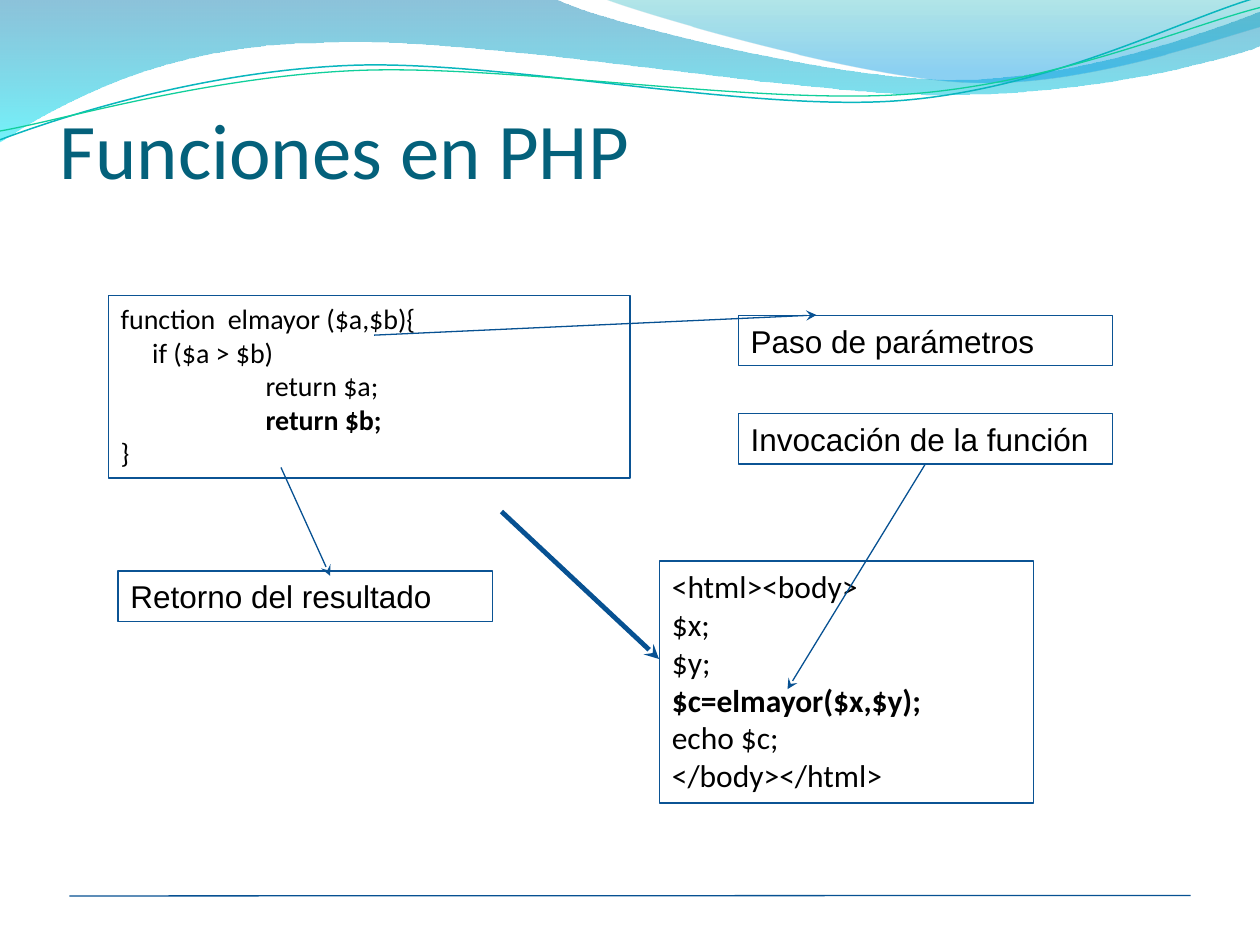
import itertools
from dataclasses import dataclass

import pptx
import pptx.dml.color
import pptx.enum.shapes
import pptx.enum.text
import pptx.oxml
import pptx.oxml.ns
import pptx.util

# The slide is a grid of 100 columns by 75 rows
COLUMNS, ROWS = 100, 75
WIDTH, HEIGHT = pptx.util.Inches(10), pptx.util.Inches(7.5)
COLORS = {
    "title": "04617B", "text": "000000", "border": "0B5394", "arrow": "075192",
    "deep": "0079AD", "cyan": "00E9F7", "teal": "00ABB4", "sky": "0099E4",
    "upper": "09B6BE", "lower": "10CF9B",
}


@dataclass
class Line:
    text: str
    indent: float = 0
    bold: bool = False


@dataclass
class Box:
    left: float
    top: float
    width: float
    height: float
    lines: list[Line]
    font: str = "Arial"
    size: float = 18


@dataclass
class Arrow:
    start: tuple[float, float]
    end: tuple[float, float]
    weight: float = 0.75
    head: bool = True


@dataclass
class Wave:
    """Starts at start; each segment has one point (line) or three (Bézier)."""
    start: tuple[float, float]
    segments: list[tuple]
    stops: tuple = ()  # (position %, colour, opacity %)
    line: str = ""
    weight: float = 0


WAVES = [
    Wave((0, -0.1), [
        ((44, -0.1),),
        ((47.6, 1.7), (66.4, 6.3), (75.8, 6.3)),
        ((85.3, 6.3), (95.8, 2.6), (100, 0.9)),
        ((100.1, 3.6),),
        ((98.3, 4.4), (87, 7.6), (74.6, 7.5)),
        ((62.2, 7.5), (38.2, 2.8), (25.7, 3.4)),
        ((12.9, 3.5), (4.6, 8.3), (-0.1, 11.3)),
    ], stops=((0, "deep", 45), (100, "cyan", 55))),
    Wave((47.9, -0.1), [
        ((50.9, 1.1), (68.2, 6.2), (76.9, 6.5)),
        ((85.6, 6.9), (96.1, 3.2), (100, 2.1)),
        ((100, 0),),
    ], stops=((0, "teal", 30), (80, "sky", 45), (100, "sky", 45))),
    Wave((0, 11.1), [
        ((4.8, 9.3), (15.8, 5.7), (27.7, 5.2)),
        ((39.5, 4.7), (59.3, 8.9), (71.3, 8)),
        ((83.3, 7.1), (93.8, 1.5), (99.8, -0.2)),
    ], line="upper", weight=0.85),
    Wave((0, 10.4), [
        ((4.7, 9.6), (16.4, 6.1), (28.3, 5.6)),
        ((40.3, 5.1), (59.7, 8.3), (71.7, 7.5)),
        ((83.6, 6.7), (94.1, 2.1), (100, 0.6)),
    ], line="lower", weight=0.75),
]

BOXES = [
    Box(8.6, 23.45, 41.4, 14.5, [
        Line("function  elmayor ($a,$b){"),
        Line("if ($a > $b)", indent=2.5),
        Line("return $a;", indent=11.5),
        Line("return $b;", indent=11.5, bold=True),
        Line("}"),
    ], font="Calibri", size=16),
    Box(9.37, 45.33, 29.7, 4, [Line("Retorno del resultado")]),
    Box(58.6, 32.84, 29.7, 4, [Line("Invocación de la función")]),
    Box(58.6, 25.03, 29.7, 4, [Line("Paso de parámetros")]),
    Box(52.34, 44.53, 29.7, 19.2, [
        Line("<html><body>"),
        Line("$x;"),
        Line("$y;"),
        Line("$c=elmayor($x,$y);", bold=True),
        Line("echo $c;"),
        Line("</body></html>"),
    ], font="Calibri"),
]

FOOTER_RULE = Arrow((5.5, 71.11), (94.5, 71.07), head=False)
ARROWS = [
    Arrow((22.3, 37.1), (26.2, 45.7)),
    Arrow((29.7, 26.6), (64.8, 25)),
    Arrow((73.4, 36.9), (62.5, 54.7)),
    Arrow((39.8, 40.6), (52.3, 52.3), weight=2.75),
]


def x(columns: float) -> int:
    return round(WIDTH * columns / COLUMNS)


def y(rows: float) -> int:
    return round(HEIGHT * rows / ROWS)


def rgb(name: str) -> pptx.dml.color.RGBColor:
    return pptx.dml.color.RGBColor.from_string(COLORS[name])


def element(xml: str):
    return pptx.oxml.parse_xml(xml.replace(" ", f" {pptx.oxml.ns.nsdecls('a')} ", 1))


def bend(shape, segments: list[tuple]) -> None:
    """Join each three straight steps of a Bézier segment into one curve."""
    steps = iter(list(shape.element.iter(pptx.oxml.ns.qn("a:lnTo"))))
    for segment in segments:
        first, *others = itertools.islice(steps, len(segment))
        if others:
            curve = element("<a:cubicBezTo />")
            first.addprevious(curve)
            for step in (first, *others):
                curve.append(step[0])
                step.getparent().remove(step)


def draw_wave(slide, wave: Wave) -> None:
    points = [(x(column), y(row)) for column, row in itertools.chain(*wave.segments)]
    builder = slide.shapes.build_freeform(x(wave.start[0]), y(wave.start[1]))
    builder.add_line_segments(points, close=bool(wave.stops))
    shape = builder.convert_to_shape()
    bend(shape, wave.segments)
    shape.shadow.inherit = False
    shape.fill.background()
    if wave.line:
        shape.line.color.rgb = rgb(wave.line)
        shape.line.width = pptx.util.Pt(wave.weight)
        return
    shape.line.fill.background()
    stops = "".join(
        f'<a:gs pos="{position * 1000}"><a:srgbClr val="{COLORS[color]}">'
        f'<a:alpha val="{opacity * 1000}"/></a:srgbClr></a:gs>'
        for position, color, opacity in wave.stops)
    gradient = element(f'<a:gradFill rotWithShape="1"><a:gsLst>{stops}</a:gsLst>'
                       '<a:lin ang="5400000" scaled="0"/></a:gradFill>')
    blank = shape.element.spPr.find(pptx.oxml.ns.qn("a:noFill"))
    shape.element.spPr.replace(blank, gradient)


def add_span(para, text: str, font: str, size: float, color: str, bold: bool = False) -> None:
    para.alignment = pptx.enum.text.PP_ALIGN.LEFT
    span = para.add_run()
    span.text = text
    span.font.name, span.font.size = font, pptx.util.Pt(size)
    span.font.color.rgb, span.font.bold = rgb(color), bold


def draw_title(slide, text: str) -> None:
    title = slide.shapes.title
    title.element.getparent().append(title.element)  # in front of the waves
    title.left, title.top, title.width, title.height = x(4.7), y(7), x(90), y(8.5)
    frame = title.text_frame
    frame.margin_left = frame.margin_right = frame.margin_bottom = 0
    frame.auto_size = pptx.enum.text.MSO_AUTO_SIZE.NONE
    frame.vertical_anchor = pptx.enum.text.MSO_ANCHOR.BOTTOM
    add_span(frame.paragraphs[0], text, "Calibri", 45, "title")


def draw_box(slide, box: Box) -> None:
    shape = slide.shapes.add_shape(pptx.enum.shapes.MSO_SHAPE.RECTANGLE, x(box.left), y(box.top),
                                   x(box.width), y(box.height))
    shape.shadow.inherit = False
    shape.fill.background()
    shape.line.color.rgb = rgb("border")
    shape.line.width = pptx.util.Pt(0.75)
    frame = shape.text_frame
    frame.word_wrap = True
    frame.auto_size = pptx.enum.text.MSO_AUTO_SIZE.SHAPE_TO_FIT_TEXT
    frame.vertical_anchor = pptx.enum.text.MSO_ANCHOR.TOP
    for number, line in enumerate(box.lines):
        para = frame.add_paragraph() if number else frame.paragraphs[0]
        add_span(para, line.text, box.font, box.size, "text", line.bold)
        if line.indent:
            shape.element.txBody.p_lst[-1].get_or_add_pPr().set("marL", str(x(line.indent)))


def draw_arrow(slide, arrow: Arrow) -> None:
    connector = slide.shapes.add_connector(pptx.enum.shapes.MSO_CONNECTOR.STRAIGHT,
                                           x(arrow.start[0]), y(arrow.start[1]),
                                           x(arrow.end[0]), y(arrow.end[1]))
    connector.line.color.rgb = rgb("arrow")
    connector.line.width = pptx.util.Pt(arrow.weight)
    if arrow.head:
        outline = connector.element.spPr.find(pptx.oxml.ns.qn("a:ln"))
        outline.append(element('<a:tailEnd type="stealth"/>'))
    connector.element.spPr.append(element("<a:effectLst />"))


def main() -> None:
    deck = pptx.Presentation()
    deck.slide_width, deck.slide_height = WIDTH, HEIGHT
    slide = deck.slides.add_slide(deck.slide_layouts.get_by_name("Title Only"))
    for wave in WAVES:
        draw_wave(slide, wave)
    draw_title(slide, "Funciones en PHP")
    draw_arrow(slide, FOOTER_RULE)
    for box in BOXES:
        draw_box(slide, box)
    for arrow in ARROWS:
        draw_arrow(slide, arrow)
    deck.save("out.pptx")


if __name__ == "__main__":
    main()
